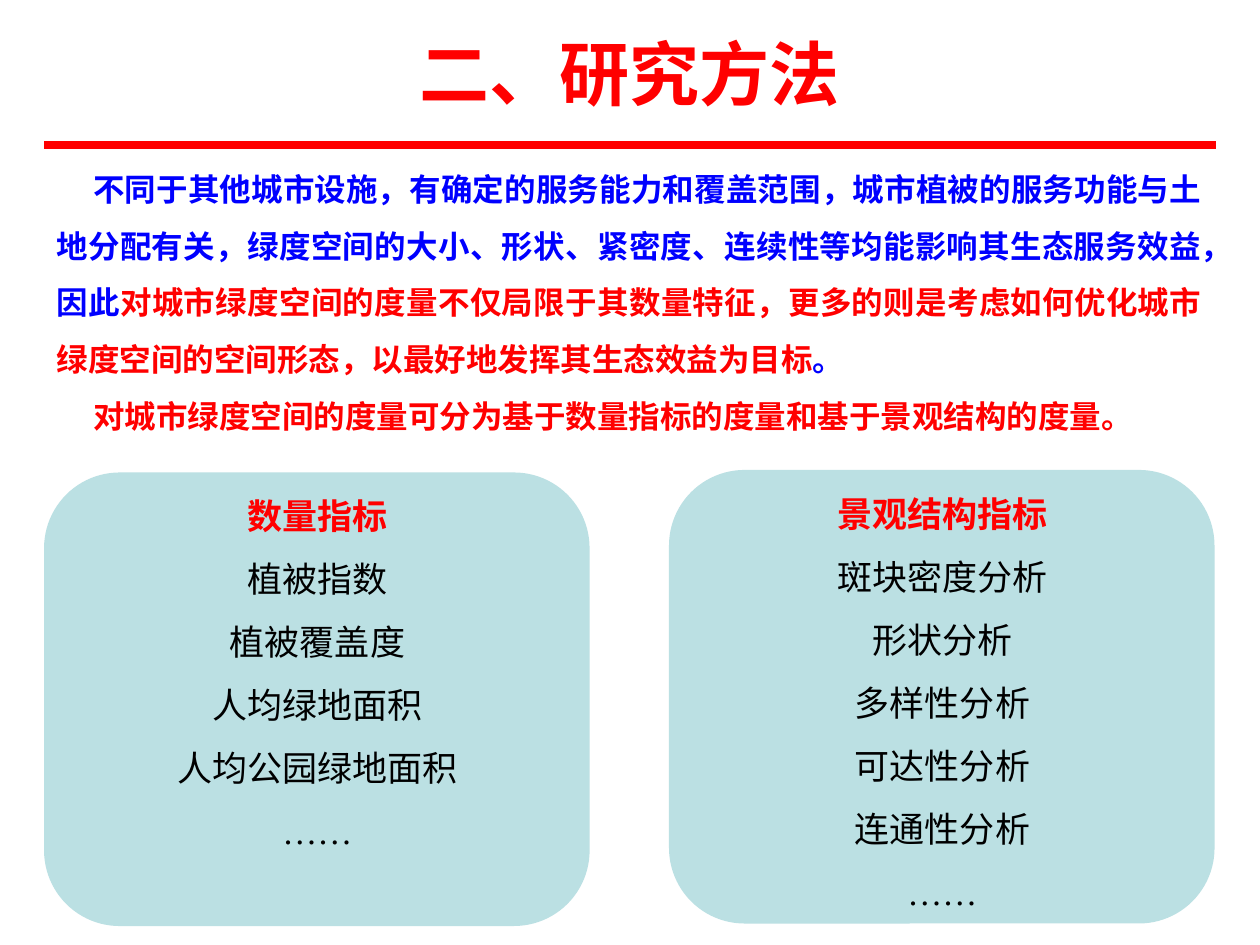
"""Build the research methods slide with two indicator panels."""
from dataclasses import dataclass
from lxml.etree import SubElement
from pptx import Presentation
from pptx.dml.color import RGBColor as Rgb
from pptx.enum.shapes import MSO_CONNECTOR as Link, MSO_SHAPE as Form
from pptx.enum.text import MSO_ANCHOR as Anchor, MSO_AUTO_SIZE as Fit, PP_ALIGN as Align
from pptx.oxml.ns import qn
from pptx.util import Pt

PX = 9144
HUES = {"red": "FF0000", "blue": "0000FF", "black": "000000", "panel": "BBE0E3"}
FACE = "Times New Roman"
Run = tuple[str, str, bool]


@dataclass(frozen=True)
class Box:
    x: int
    y: int
    w: int
    h: int

    def emu(self) -> tuple[int, ...]:
        return tuple(n * PX for n in (self.x, self.y, self.w, self.h))


@dataclass(frozen=True)
class Panel:
    x: int
    y: int
    tall: int
    head: str
    items: tuple[str, ...]


PANELS = (
    Panel(35, 375, 307, "数量指标",
          ("植被指数", "植被覆盖度", "人均绿地面积", "人均公园绿地面积", "……")),
    Panel(531, 373, 357, "景观结构指标",
          ("斑块密度分析", "形状分析", "多样性分析", "可达性分析", "连通性分析", "……")),
)
BODY: list[list[Run]] = [
    [("不同于其他城市设施，有确定的服务能力和覆盖范围，城市植被的服务功能与土地分配有关，"
      "绿度空间的大小、形状、紧密度、连续性等均能影响其生态服务效益，因此", "blue", True),
     ("对城市绿度空间的度量不仅局限于其数量特征，更多的则是考虑如何优化城市绿度空间的空间形态，"
      "以最好地发挥其生态效益为目标", "red", True),
     ("。", "blue", True)],
    [("对城市绿度空间的度量可分为基于数量指标的度量和基于景观结构的度量。", "red", True)],
]


def apply(item, values: dict) -> None:
    for name, value in values.items():
        setattr(item, name, value)


def write(shape, paras: list[list[Run]], size: int, align: Align,
          gap: float = 1.0, dent: int = 0) -> None:
    frame = shape.text_frame
    apply(frame, {"word_wrap": True, "auto_size": Fit.NONE, "vertical_anchor": Anchor.TOP})
    for i, runs in enumerate(paras):
        para = frame.add_paragraph() if i else frame.paragraphs[0]
        apply(para, {"alignment": align, "line_spacing": gap})
        if dent:
            props = para._p.get_or_add_pPr()
            props.set("marL", "0")
            props.set("indent", str(dent * PX))
        for text, hue, bold in runs:
            run = para.add_run()
            run.text = text
            apply(run.font, {"name": FACE, "size": Pt(size), "bold": bold})
            run.font.color.rgb = Rgb.from_string(HUES[hue])


def rule(slide, x: int, y: int, end: int) -> None:
    line = slide.shapes.add_connector(Link.STRAIGHT, x * PX, y * PX, end * PX, y * PX)
    line.line.color.rgb = Rgb.from_string(HUES["red"])
    line.line.width = Pt(4.5)
    SubElement(line._element.spPr, qn("a:effectLst"))


def panel(slide, item: Panel) -> None:
    card = slide.shapes.add_shape(Form.ROUNDED_RECTANGLE, *Box(item.x, item.y, 433, 360).emu())
    card.shadow.inherit = False
    card.fill.solid()
    card.fill.fore_color.rgb = Rgb.from_string(HUES["panel"])
    card.line.fill.background()
    text = slide.shapes.add_textbox(*Box(item.x + 28, item.y - 4, 378, item.tall).emu())
    rows = [[(item.head, "red", True)]] + [[(name, "black", False)] for name in item.items]
    write(text, rows, 20, Align.CENTER, 1.5)


def main() -> None:
    deck = Presentation()
    apply(deck, {"slide_width": 1000 * PX, "slide_height": 750 * PX})
    slide = deck.slides.add_slide(deck.slide_layouts[5])
    rule(slide, 35, 115, 965)
    title = slide.shapes.title
    apply(title, dict(zip(("left", "top", "width", "height"), Box(50, 19, 899, 77).emu())))
    write(title, [[("二、研究方法", "red", True)]], 40, Align.CENTER)
    body = slide.shapes.add_textbox(*Box(35, 115, 929, 232).emu())
    write(body, BODY, 18, Align.JUSTIFY, 1.5, 29)
    for item in PANELS:
        panel(slide, item)
    deck.save("out.pptx")


if __name__ == "__main__":
    main()
